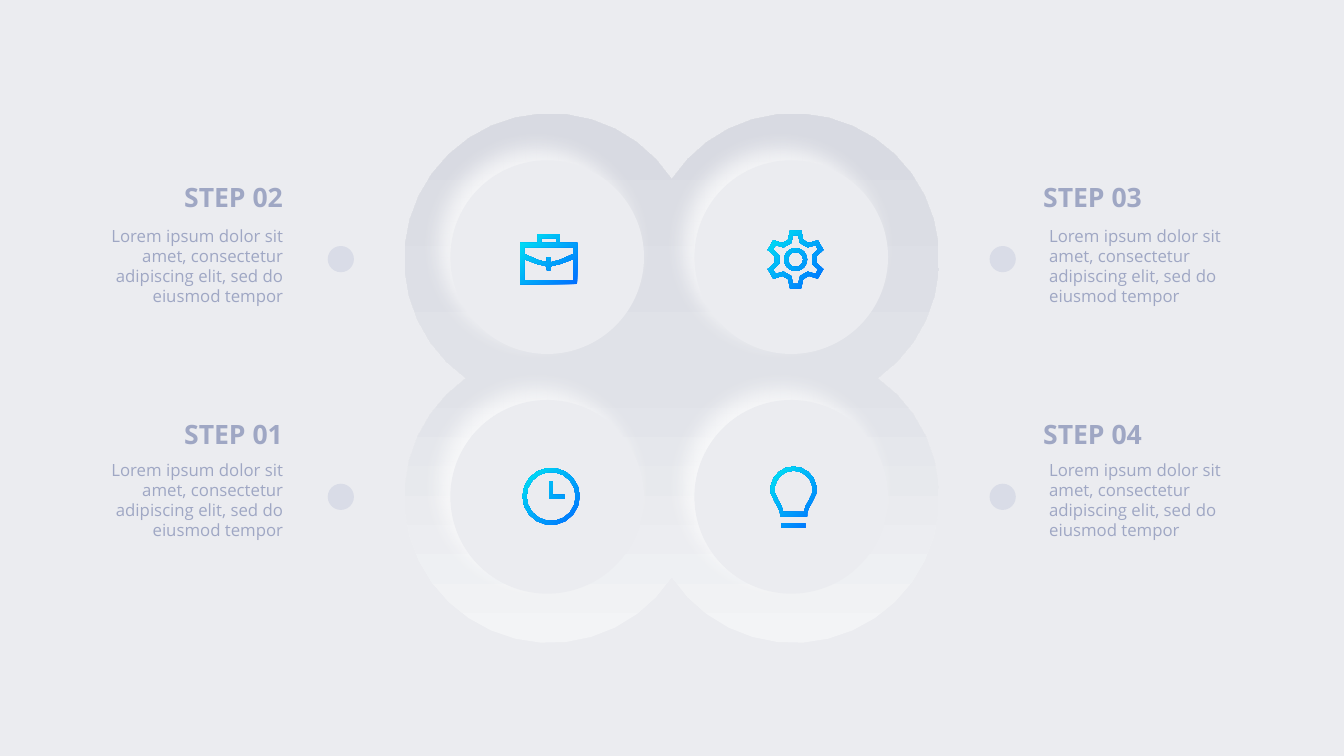
"""Build a four-step clover slide with gradient icons and captions."""
from copy import deepcopy
from math import acos, asin, cos, degrees, radians, sin

from pptx import Presentation
from pptx.dml.color import RGBColor
from pptx.enum.shapes import MSO_SHAPE as SHAPE
from pptx.enum.text import MSO_AUTO_SIZE as AUTO, PP_ALIGN as ALIGN
from pptx.oxml import parse_xml
from pptx.oxml.ns import nsdecls, qn
from pptx.util import Cm, Pt

COLORS = {"page": "EBECF0", "dot": "D9DCE7", "text": "9FA7C4", "glow": "FFFFFF",
          "low": "F3F4F6", "mid": "E0E2E8", "high": "D8DAE2",
          "blue": "006EFF", "cyan": "00E6F2"}
FONT = "Open Sans"
BODY = "Lorem ipsum dolor sit amet, consectetur adipiscing elit, sed do eiusmod tempor"
LOBE_X, LOBE_Y, LOBE_R = (13.86, 20.0), (6.53, 12.53), 3.67
DISC_X, DISC_SIZE = (11.35, 17.5), 4.88
DOT_X, DOT_SIZE = (8.26, 24.94), 0.66
TITLE_X, BODY_X = (4.62, 26.29), (2.08, 26.19)
ROWS = [{"disc": 4.04, "dot": 6.2, "title": 4.55, "body": 5.56},
        {"disc": 10.08, "dot": 12.19, "title": 10.52, "body": 11.46}]
STEPS = [("STEP 01", 0, 1), ("STEP 02", 0, 0), ("STEP 03", 1, 0), ("STEP 04", 1, 1)]


def rgb(name):
    return RGBColor.from_string(COLORS[name])


def polar(r, angle):
    return r * cos(radians(angle)), r * sin(radians(angle))


def arc(r, start=0, end=360, cx=0, cy=0, step=20):
    count = round((end - start) / step)
    points = (polar(r, start + (end - start) * i / count) for i in range(count + 1))
    return [(cx + x, cy + y) for x, y in points]


def mirror(half):
    return half + [(-x, y) for x, y in reversed(half)]


def cog(tip, tip_angle, base, base_angle):
    tooth = [(base, -base_angle), (tip, -tip_angle), (tip, tip_angle), (base, base_angle)]
    return [polar(r, 60 * i - 90 + a) for i in range(6) for r, a in tooth]


def clover():
    (left, right), (top, bottom) = LOBE_X, LOBE_Y
    across = degrees(acos((right - left) / 2 / LOBE_R))
    down = degrees(asin((bottom - top) / 2 / LOBE_R))
    lobes = [(180 - down, 360 - across, left, top),
             (180 + across, 360 + down, right, top),
             (-down, 180 - across, right, bottom),
             (across, 180 + down, left, bottom)]
    return [point for lobe in lobes for point in arc(LOBE_R, *lobe, step=10)]


def gear():
    return [cog(0.74, 10.9, 0.53, 21), cog(0.62, 6, 0.43, 15.3), arc(0.29), arc(0.19)]


def clock():
    hands = [(-0.05, -0.37), (0.04, -0.37), (0.04, -0.04), (0.34, -0.04),
             (0.34, 0.06), (-0.05, 0.06)]
    return [arc(0.72), arc(0.62), hands]


def briefcase():
    halves = [
        [(0.28, -0.63), (0.28, -0.41), (0.72, -0.41), (0.72, 0.63)],
        [(0.19, -0.53), (0.19, -0.41)],
        [(0.62, -0.3), (0.62, -0.13), (0.28, 0.02), (0.05, 0.08), (0.05, -0.05)],
        [(0.62, 0.53), (0.62, 0), (0.3, 0.12), (0.05, 0.18), (0.05, 0.28)],
    ]
    return [mirror(half) for half in halves]


def bulb():
    outer = arc(0.58, -90, 10) + [(0.47, 0.31), (0.38, 0.47), (0.34, 0.6), (0.34, 0.67)]
    inner = arc(0.48, -90, 10) + [(0.39, 0.26), (0.3, 0.42), (0.27, 0.56)]
    return [mirror(outer), mirror(inner), mirror([(0.3, 0.85), (0.3, 0.96)])]


def plain(sp):
    sp.line.fill.background()
    sp.shadow.inherit = False


def add_outline(s, contours, stops, angle, cx=0, cy=0):
    placed = [[(Cm(cx + x), Cm(cy + y)) for x, y in c] for c in contours]
    builder = s.shapes.build_freeform(*placed[0][0])
    for i, points in enumerate(placed):
        if i:
            builder.move_to(*points[0])
        builder.add_line_segments(points[1:], close=True)
    sp = builder.convert_to_shape()
    plain(sp)
    sp.fill.gradient()
    sp.fill.gradient_angle = angle
    gs_list = sp._element.spPr.find(".//" + qn("a:gsLst"))
    for _ in stops[2:]:
        gs_list.append(deepcopy(gs_list[0]))
    for i, (stop, color) in enumerate(zip(sp.fill.gradient_stops, stops)):
        stop.position = i / (len(stops) - 1)
        stop.color.rgb = rgb(color)


def add_circle(s, x, y, size, color):
    sp = s.shapes.add_shape(SHAPE.OVAL, Cm(x), Cm(y), Cm(size), Cm(size))
    plain(sp)
    sp.fill.solid()
    sp.fill.fore_color.rgb = rgb(color)
    return sp


def add_disc(s, x, y):
    sp = add_circle(s, x, y, DISC_SIZE, "page")
    sp._element.spPr.find(qn("a:effectLst")).append(parse_xml(
        f'<a:outerShdw {nsdecls("a")} blurRad="{Pt(16)}" dist="{Pt(11)}" dir="13500000" '
        f'algn="ctr" rotWithShape="0"><a:srgbClr val="{COLORS["glow"]}">'
        '<a:alpha val="74000"/></a:srgbClr></a:outerShdw>'))


def add_text(s, text, box, size, align, title=False):
    tf = s.shapes.add_textbox(*(Cm(v) for v in box)).text_frame
    tf.text = text
    tf.word_wrap = not title
    tf.auto_size = AUTO.SHAPE_TO_FIT_TEXT
    if title:
        tf.margin_left = tf.margin_right = tf.margin_top = tf.margin_bottom = 0
    p = tf.paragraphs[0]
    p.alignment = align
    font = p.runs[0].font
    font.name, font.size, font.bold = FONT, Pt(size), title
    font.color.rgb = rgb("text")


def add_step(s, title, col, row):
    tops = ROWS[row]
    align = (ALIGN.RIGHT, ALIGN.LEFT)[col]
    add_circle(s, DOT_X[col], tops["dot"], DOT_SIZE, "dot")
    add_text(s, title, (TITLE_X[col], tops["title"], 2.51, 0.81), 19, align, True)
    add_text(s, BODY, (BODY_X[col], tops["body"], 5.31, 2.31), 12, align)
    add_disc(s, DISC_X[col], tops["disc"])


def main():
    prs = Presentation()
    prs.slide_width, prs.slide_height = Cm(33.87), Cm(19.05)
    s = prs.slides.add_slide(prs.slide_layouts[6])
    s.background.fill.solid()
    s.background.fill.fore_color.rgb = rgb("page")
    add_outline(s, [clover()], ["low", "mid", "high"], 90)
    for step in STEPS:
        add_step(s, *step)
    icons = [(gear(), 20.05, 6.54), (clock(), 13.89, 12.51),
             (briefcase(), 13.83, 6.53), (bulb(), 20, 12.34)]
    for contours, cx, cy in icons:
        add_outline(s, contours, ["blue", "cyan"], 135, cx, cy)
    prs.save("out.pptx")


if __name__ == "__main__":
    main()
